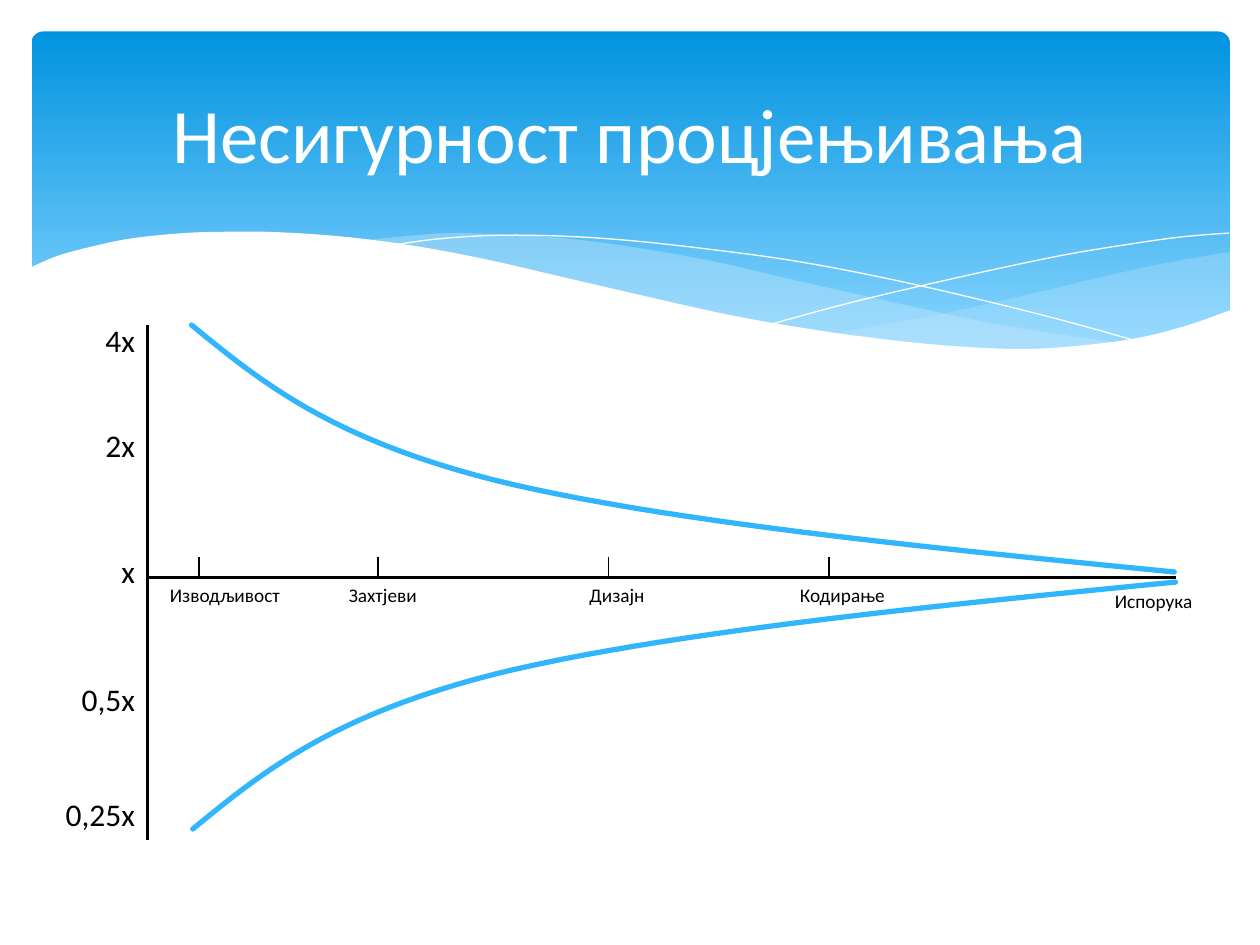
from pptx import Presentation
from pptx.dml.color import RGBColor
from pptx.enum.shapes import MSO_CONNECTOR, MSO_SHAPE
from pptx.enum.text import MSO_ANCHOR, MSO_AUTO_SIZE, PP_ALIGN
from pptx.oxml.ns import qn
from pptx.util import Inches, Pt
from lxml import etree

LEFT, CENTER, RIGHT = PP_ALIGN.LEFT, PP_ALIGN.CENTER, PP_ALIGN.RIGHT
STRAIGHT = MSO_CONNECTOR.STRAIGHT
WHITE = RGBColor(0xFF, 0xFF, 0xFF)
BLACK = RGBColor(0, 0, 0)
SKY_TOP = RGBColor(0x02, 0x93, 0xE0)
SKY_BOTTOM = RGBColor(0x83, 0xD3, 0xFE)
PALE = RGBColor(0xC6, 0xE7, 0xFC)
CURVE = RGBColor(0x31, 0xB6, 0xFD)
FONT = "Calibri"

# Waves of the header, as knots in inches; a smooth line runs through each list
WAVE_RIGHT_TOP = [(9.76, 2), (9.35, 2.07), (8.91, 2.16), (8.32, 2.3), (7.53, 2.48), (6.61, 2.65)]
WAVE_RIGHT_BOTTOM = [(6.61, 2.65), (7.19, 2.72), (7.69, 2.77), (8.14, 2.78), (8.63, 2.75),
                     (9.13, 2.67), (9.49, 2.57), (9.76, 2.47)]
WAVE_MID_TOP = [(8.93, 2.73), (8.07, 2.6), (7.41, 2.47), (6.29, 2.22), (5.69, 2.08), (5.14, 1.98),
                (4.65, 1.91), (4.2, 1.87), (3.61, 1.85), (3.28, 1.87), (2.86, 1.91)]
WAVE_MID_BOTTOM = [(2.86, 1.91), (3.62, 2.03), (4.49, 2.22), (5.3, 2.4), (6.01, 2.55), (6.65, 2.66),
                   (7.22, 2.74), (7.73, 2.77), (8.18, 2.78), (8.57, 2.77), (8.93, 2.73)]
THIN_FALLING = [(3.09, 1.95), (3.44, 1.9), (3.87, 1.87), (4.33, 1.87), (4.89, 1.9), (5.56, 1.97),
                (6.36, 2.08), (7.27, 2.26), (8.31, 2.51), (9.07, 2.72)]
THIN_RISING = [(6.13, 2.57), (6.72, 2.41), (7.48, 2.23), (8.36, 2.04), (8.95, 1.94), (9.38, 1.88),
               (9.75, 1.85)]
WHITE_EDGE = [(9.77, 2.46), (9.4, 2.59), (8.99, 2.69), (8.5, 2.75), (8.09, 2.77), (7.61, 2.75),
              (7.08, 2.7), (6.48, 2.62), (5.79, 2.5), (5.03, 2.33), (4.47, 2.2), (3.91, 2.07),
              (3.4, 1.97), (2.92, 1.9), (2.5, 1.86), (2.11, 1.84), (1.77, 1.84), (1.46, 1.85),
              (1.06, 1.89), (0.76, 1.95), (0.46, 2.03), (0.23, 2.13)]


def smooth(knots, steps=6):
    """Points of a Catmull-Rom spline through the knots."""
    ends = [knots[0], *knots, knots[-1]]
    points = [knots[0]]
    for a, b, c, d in zip(ends, ends[1:], ends[2:], ends[3:]):
        for i in range(1, steps + 1):
            t = i / steps
            points.append(tuple(
                q + t / 2 * (r - p + t * (2 * p - 5 * q + 4 * r - s + t * (3 * (q - r) + s - p)))
                for p, q, r, s in zip(a, b, c, d)))
    return points


def bezier(a, b, c, d, steps=24):
    """Points of a cubic Bezier segment."""
    return [tuple((1 - t) ** 3 * p + 3 * t * (1 - t) ** 2 * q + 3 * t * t * (1 - t) * r + t ** 3 * s
                  for p, q, r, s in zip(a, b, c, d))
            for t in (i / steps for i in range(steps + 1))]


def add_path(slide, points, fill=None, alpha=None, line=None, width=0):
    emu = [(Inches(x), Inches(y)) for x, y in points]
    builder = slide.shapes.build_freeform(*emu[0])
    builder.add_line_segments(emu[1:], close=fill is not None)
    s = builder.convert_to_shape()
    s.shadow.inherit = False
    if fill is None:
        s.fill.background()
    else:
        s.fill.solid()
        s.fill.fore_color.rgb = fill
    if alpha is not None:
        color = s.element.spPr.find(qn("a:solidFill")).find(qn("a:srgbClr"))
        etree.SubElement(color, qn("a:alpha")).set("val", str(alpha * 1000))
    if line is None:
        s.line.fill.background()
    else:
        s.line.color.rgb = line
        s.line.width = Pt(width)
        s.element.spPr.find(qn("a:ln")).set("cap", "rnd")


def add_line(slide, x1, y1, x2, y2, width):
    s = slide.shapes.add_connector(STRAIGHT, Inches(x1), Inches(y1), Inches(x2), Inches(y2))
    s.line.color.rgb = BLACK
    s.line.width = Pt(width)
    etree.SubElement(s.element.spPr, qn("a:effectLst"))


def add_text(slide, text, x, y, w, h, size, color=BLACK, align=LEFT):
    tf = slide.shapes.add_textbox(Inches(x), Inches(y), Inches(w), Inches(h)).text_frame
    tf.word_wrap = True
    tf.text = text
    p = tf.paragraphs[0]
    p.alignment = align
    p.font.name, p.font.size, p.font.color.rgb = FONT, Pt(size), color
    return tf


def add_header(slide, x, y, w, h):
    # Gradient panel
    s = slide.shapes.add_shape(MSO_SHAPE.ROUNDED_RECTANGLE, Inches(x), Inches(y), Inches(w), Inches(h))
    s.adjustments[0] = 0.034
    s.shadow.inherit = False
    s.line.fill.background()
    s.fill.gradient()
    s.fill.gradient_angle = 270
    for stop, position, color in zip(s.fill.gradient_stops, (0, 0.9), (SKY_TOP, SKY_BOTTOM)):
        stop.position, stop.color.rgb = position, color

    # Translucent waves, thin lines and the white lower edge
    add_path(slide, smooth(WAVE_RIGHT_TOP) + smooth(WAVE_RIGHT_BOTTOM), PALE, 29)
    add_path(slide, smooth(WAVE_MID_TOP) + smooth(WAVE_MID_BOTTOM), PALE, 40)
    for knots in (THIN_FALLING, THIN_RISING):
        add_path(slide, smooth(knots), line=WHITE)
    add_path(slide, smooth(WHITE_EDGE) + [(0.23, 3.29), (9.77, 3.29)], WHITE)

    # Title
    tf = add_text(slide, "Несигурност процјењивања", x + 0.25, y + 0.12, 9, 1.37, 44, WHITE, CENTER)
    tf.vertical_anchor = MSO_ANCHOR.MIDDLE


def add_cone(slide, x, y, w, h):
    """Uncertainty cone: estimate multiples against project phases."""
    axis_y = y + 2
    add_line(slide, x, y, x, y + h, 1.75)
    add_line(slide, x, axis_y, x + w, axis_y, 1.75)

    # Multiples, right-aligned against the vertical axis
    for text, top, width in (("4х", -0.08, 0.5), ("2х", 0.75, 0.5), ("х", 1.75, 0.5),
                             ("0,5х", 2.77, 0.67), ("0,25х", 3.68, 0.83)):
        tf = add_text(slide, text, x - width, y + top, width, 0.4, 18, align=RIGHT)
        tf.auto_size = MSO_AUTO_SIZE.SHAPE_TO_FIT_TEXT

    # Phases: tick position, label position, label width and drop
    for text, tick, left, width, drop in (
            ("Изводљивост", 0.41, 0.08, 1.17, 0), ("Захтјеви", 1.83, 1.5, 0.83, 0),
            ("Дизајн", 3.66, 3.41, 0.83, 0), ("Кодирање", 5.41, 5.08, 0.92, 0),
            ("Испорука", None, 7.58, 0.92, 0.05)):
        if tick is not None:
            add_line(slide, x + tick, axis_y, x + tick, axis_y - 0.16, 0.75)
        tf = add_text(slide, text, x + left, axis_y + drop, width, 0.29, 11)
        tf.auto_size = MSO_AUTO_SIZE.SHAPE_TO_FIT_TEXT

    # Upper and lower bounds mirror each other
    bound = (bezier((0.35, 0), (0.9, 0.45), (1.45, 0.9), (2.75, 1.23))
             + bezier((2.75, 1.23), (4.05, 1.55), (6.1, 1.76), (8.15, 1.96))[1:])
    add_path(slide, [(x + px, y + py) for px, py in bound], line=CURVE, width=3)
    add_path(slide, [(x + px + 0.01, y + 4 - py) for px, py in bound], line=CURVE, width=3)


def main():
    prs = Presentation()
    prs.slide_width, prs.slide_height = Inches(10), Inches(7.5)
    slide = prs.slides.add_slide(prs.slide_layouts[6])
    add_header(slide, 0.25, 0.25, 9.51, 2.7)
    add_cone(slide, 1.17, 2.58, 8.16, 4.09)
    prs.save("out.pptx")


if __name__ == "__main__":
    main()
